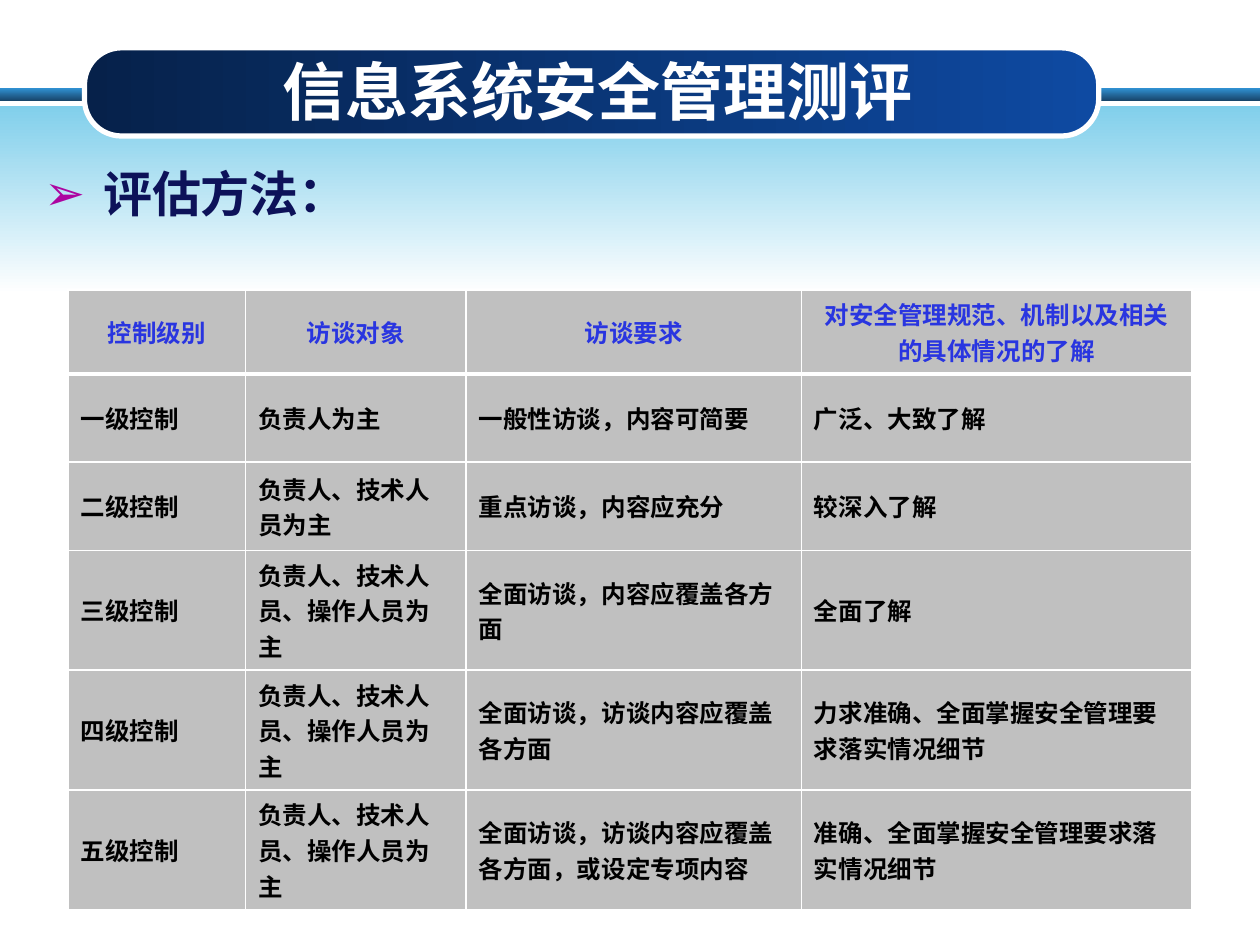
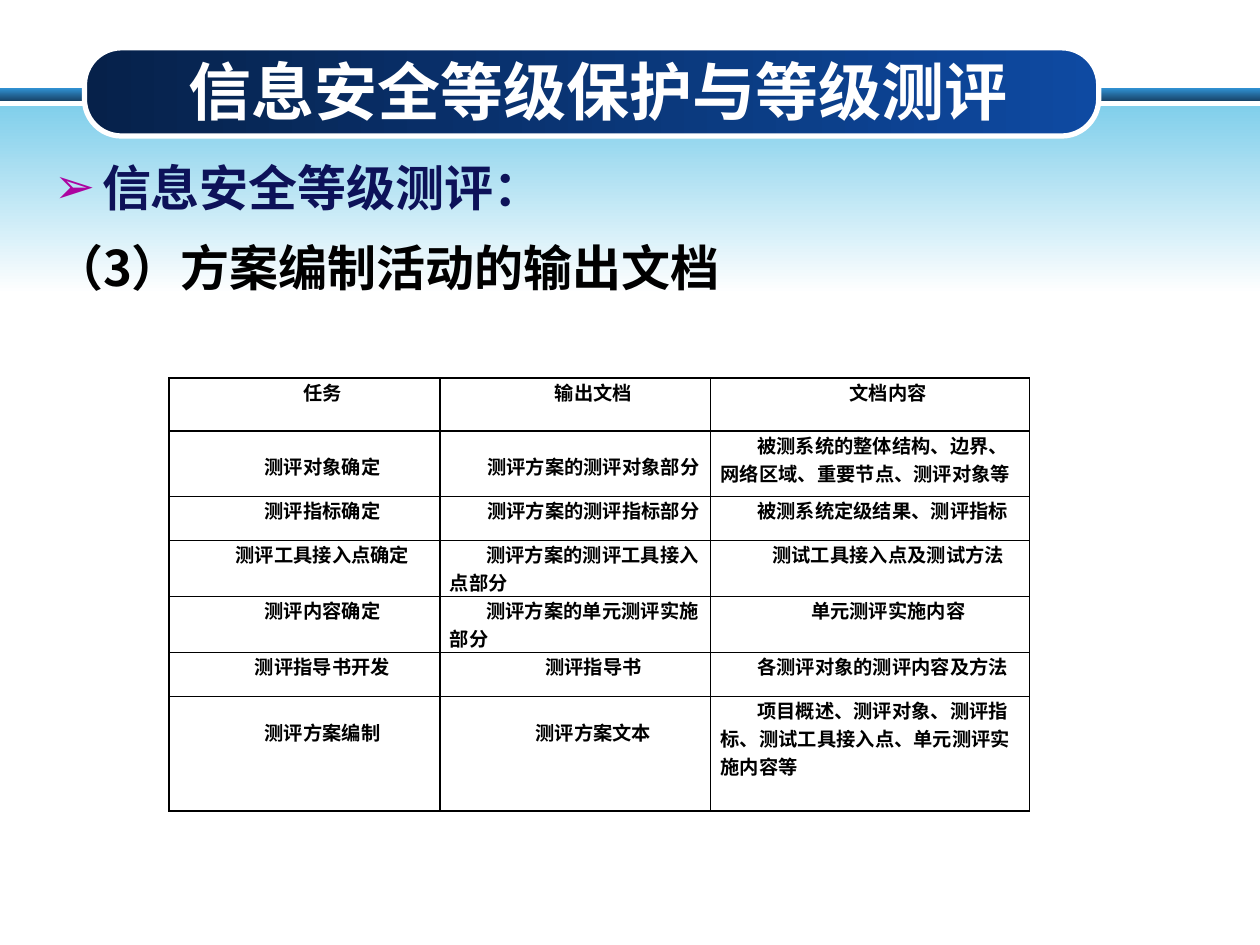
from lxml import etree
from pptx import Presentation
from pptx.dml.color import RGBColor
from pptx.enum.shapes import MSO_SHAPE as Preset
from pptx.enum.text import MSO_ANCHOR as Anchor, MSO_AUTO_SIZE as AutoSize, PP_ALIGN as Align
from pptx.oxml.ns import qn
from pptx.util import Inches, Pt

WHITE = RGBColor(0xFF, 0xFF, 0xFF)
BLACK = RGBColor(0x00, 0x00, 0x00)
NAVY = RGBColor(0x0D, 0x12, 0x59)
HEADER_BLUE = RGBColor(0x29, 0x35, 0xE0)
GRAY = RGBColor(0xC0, 0xC0, 0xC0)
PURPLE = RGBColor(0xAC, 0x04, 0xA0)
STRIPE_TOP = RGBColor(0x31, 0x91, 0xD3)
STRIPE_BOTTOM = RGBColor(0x17, 0x45, 0x6A)
SKY = RGBColor(0x81, 0xCF, 0xEB)
PILL_LEFT = RGBColor(0x06, 0x21, 0x4A)
PILL_RIGHT = RGBColor(0x0E, 0x4A, 0xA2)
CJK_FONT = "Noto Sans CJK SC"

TITLE_FONT = {"name": "Arial", "size": Pt(36), "bold": True}
BODY_FONT = {"name": CJK_FONT, "size": Pt(28), "bold": True}
LEVEL_FONT = {"name": "Arial", "size": Pt(14), "bold": True}
OUTPUT_FONT = {"name": "Times New Roman", "size": Pt(11), "bold": True}


def write(paragraph, text, font_format, color, align):
    paragraph.alignment = align
    run = paragraph.add_run()
    run.text = text
    for name, value in font_format.items():
        setattr(run.font, name, value)
    run.font.color.rgb = color
    etree.SubElement(run._r.get_or_add_rPr(), qn("a:ea"), typeface=CJK_FONT)


def add_grid(slide, left, top, widths, heights, line_color):
    """Add a plain table with 1 pt borders on every cell."""
    grid = slide.shapes.add_table(
        len(heights), len(widths), Inches(left), Inches(top),
        Inches(sum(widths)), Inches(sum(heights))).table
    grid.first_row = grid.horz_banding = False
    for column, width in zip(grid.columns, widths):
        column.width = Inches(width)
    for row, height in zip(grid.rows, heights):
        row.height = Inches(height)
    for cell in grid.iter_cells():
        for side in ("lnL", "lnR", "lnT", "lnB"):
            border = etree.SubElement(cell._tc.get_or_add_tcPr(), qn(f"a:{side}"), w=str(Pt(1)))
            solid = etree.SubElement(border, qn("a:solidFill"))
            etree.SubElement(solid, qn("a:srgbClr"), val=str(line_color))
        cell.fill.background()
    return grid


deck = Presentation()
deck.slide_width, deck.slide_height = Inches(10), Inches(7.5)
layout = deck.slide_layouts[1]

# Titles and body boxes
pages = [
    ("信息系统安全管理测评", (0.25, 1.25, 9.58, 5.83), 0.05, [" 评估方法："]),
    ("信息安全等级保护与等级测评", (0.33, 0.5, 9, 6.75), 0.75,
     ["信息安全等级测评：", "（3）方案编制活动的输出文档"]),
]
slides = []
for heading, body_box, body_inset, lines in pages:
    slide = deck.slides.add_slide(layout)
    slides.append(slide)
    title, body = slide.placeholders
    for holder, box in ((title, (0.91, 0.41, 7.67, 0.62)), (body, body_box)):
        holder.left, holder.top, holder.width, holder.height = map(Inches, box)
        holder.text_frame.auto_size = AutoSize.NONE
    title.text_frame.vertical_anchor = Anchor.MIDDLE
    write(title.text_frame.paragraphs[0], heading, TITLE_FONT, WHITE, Align.CENTER)

    body.text_frame.margin_top = Inches(body_inset)
    for level, line in enumerate(lines):
        paragraph = body.text_frame.add_paragraph() if level else body.text_frame.paragraphs[0]
        paragraph.level = level
        props = paragraph._p.get_or_add_pPr()
        hang = 0 if level else Inches(0.38)
        props.set("marL", str(hang))
        props.set("indent", str(-hang))
        if level:
            etree.SubElement(props, qn("a:buNone"))
        else:
            bullet_color = etree.SubElement(props, qn("a:buClr"))
            etree.SubElement(bullet_color, qn("a:srgbClr"), val=str(PURPLE))
            etree.SubElement(props, qn("a:buChar"), char="➢")
        paragraph.space_before = Pt(12 * level)
        paragraph.space_after = Pt(0)
        write(paragraph, line, BODY_FONT, BLACK if level else NAVY, Align.LEFT)

# Shared bands, placed behind everything on the layout
bands = [
    (Preset.RECTANGLE, (0, 0.7, 10, 0.1), STRIPE_TOP, STRIPE_BOTTOM, 270),
    (Preset.RECTANGLE, (0, 0.84, 10, 1.49), SKY, WHITE, 270),
    (Preset.ROUNDED_RECTANGLE, (0.67, 0.38, 8.05, 0.7), PILL_LEFT, PILL_RIGHT, 0),
]
for order, (preset, box, start, end, angle) in enumerate(bands):
    band = slides[0].shapes.add_shape(preset, *map(Inches, box))
    band.shadow.inherit = False
    band.fill.gradient()
    band.fill.gradient_angle = angle
    for stop, color, position in zip(band.fill.gradient_stops, (start, end), (0, 1)):
        stop.color.rgb = color
        stop.position = position
    if preset == Preset.ROUNDED_RECTANGLE:
        band.adjustments[0] = 0.42
        band.line.color.rgb = WHITE
        band.line.width = Pt(3)
    else:
        band.line.fill.background()
    band._element.nvSpPr.cNvPr.id = 20 + order
    layout.shapes._spTree.insert(2 + order, band._element)

# Slide 1: interview requirements by control level
interview_rows = [
    ("控制级别", "访谈对象", "访谈要求", "对安全管理规范、机制以及相关的具体情况的了解"),
    ("一级控制", "负责人为主", "一般性访谈，内容可简要", "广泛、大致了解"),
    ("二级控制", "负责人、技术人员为主", "重点访谈，内容应充分", "较深入了解"),
    ("三级控制", "负责人、技术人员、操作人员为主", "全面访谈，内容应覆盖各方面", "全面了解"),
    ("四级控制", "负责人、技术人员、操作人员为主", "全面访谈，访谈内容应覆盖各方面",
     "力求准确、全面掌握安全管理要求落实情况细节"),
    ("五级控制", "负责人、技术人员、操作人员为主", "全面访谈，访谈内容应覆盖各方面，或设定专项内容",
     "准确、全面掌握安全管理要求落实情况细节"),
]
interviews = add_grid(slides[0], 0.54, 2.3, [1.41, 1.75, 2.66, 3.1],
                      [0.64, 0.7, 0.7] + [0.84] * 3, WHITE)
for r, row in enumerate(interview_rows):
    for c, text in enumerate(row):
        cell = interviews.cell(r, c)
        cell.fill.solid()
        cell.fill.fore_color.rgb = GRAY
        cell.vertical_anchor = Anchor.MIDDLE
        color, align = (BLACK, Align.LEFT) if r else (HEADER_BLUE, Align.CENTER)
        write(cell.text_frame.paragraphs[0], text, LEVEL_FONT, color, align)
        # Thick rule between the header and the first level
        if r < 2:
            cell._tc.tcPr.find(qn("a:lnT" if r else "a:lnB")).set("w", str(Pt(3)))

# Slide 2: output documents by task
output_rows = [
    ("任务", "输出文档", "文档内容"),
    ("测评对象确定", "测评方案的测评对象部分", "被测系统的整体结构、边界、网络区域、重要节点、测评对象等"),
    ("测评指标确定", "测评方案的测评指标部分", "被测系统定级结果、测评指标"),
    ("测评工具接入点确定", "测评方案的测评工具接入点部分", "测试工具接入点及测试方法"),
    ("测评内容确定", "测评方案的单元测评实施部分", "单元测评实施内容"),
    ("测评指导书开发", "测评指导书", "各测评对象的测评内容及方法"),
    ("测评方案编制", "测评方案文本", "项目概述、测评对象、测评指标、测试工具接入点、单元测评实施内容等"),
]
left_aligned = {(1, 2), (2, 2), (3, 1), (4, 1), (5, 2), (6, 2)}
lowered = {(1, 0), (1, 1), (6, 0), (6, 1)}
outputs = add_grid(slides[1], 1.34, 3, [2.15, 2.15, 2.53],
                   [0.42, 0.52, 0.35, 0.37, 0.37, 0.35, 0.91], BLACK)
for r, row in enumerate(output_rows):
    for c, text in enumerate(row):
        cell = outputs.cell(r, c)
        margins = {"margin_left": 0.08, "margin_right": 0.08, "margin_bottom": 0,
                   "margin_top": 0.17 if (r, c) in lowered else 0}
        for name, value in margins.items():
            setattr(cell, name, Inches(value))
        paragraph = cell.text_frame.paragraphs[0]
        paragraph._p.get_or_add_pPr().set("indent", str(Inches(0.29)))
        align = Align.LEFT if (r, c) in left_aligned else Align.CENTER
        write(paragraph, text, OUTPUT_FONT, BLACK, align)

deck.save("out.pptx")
